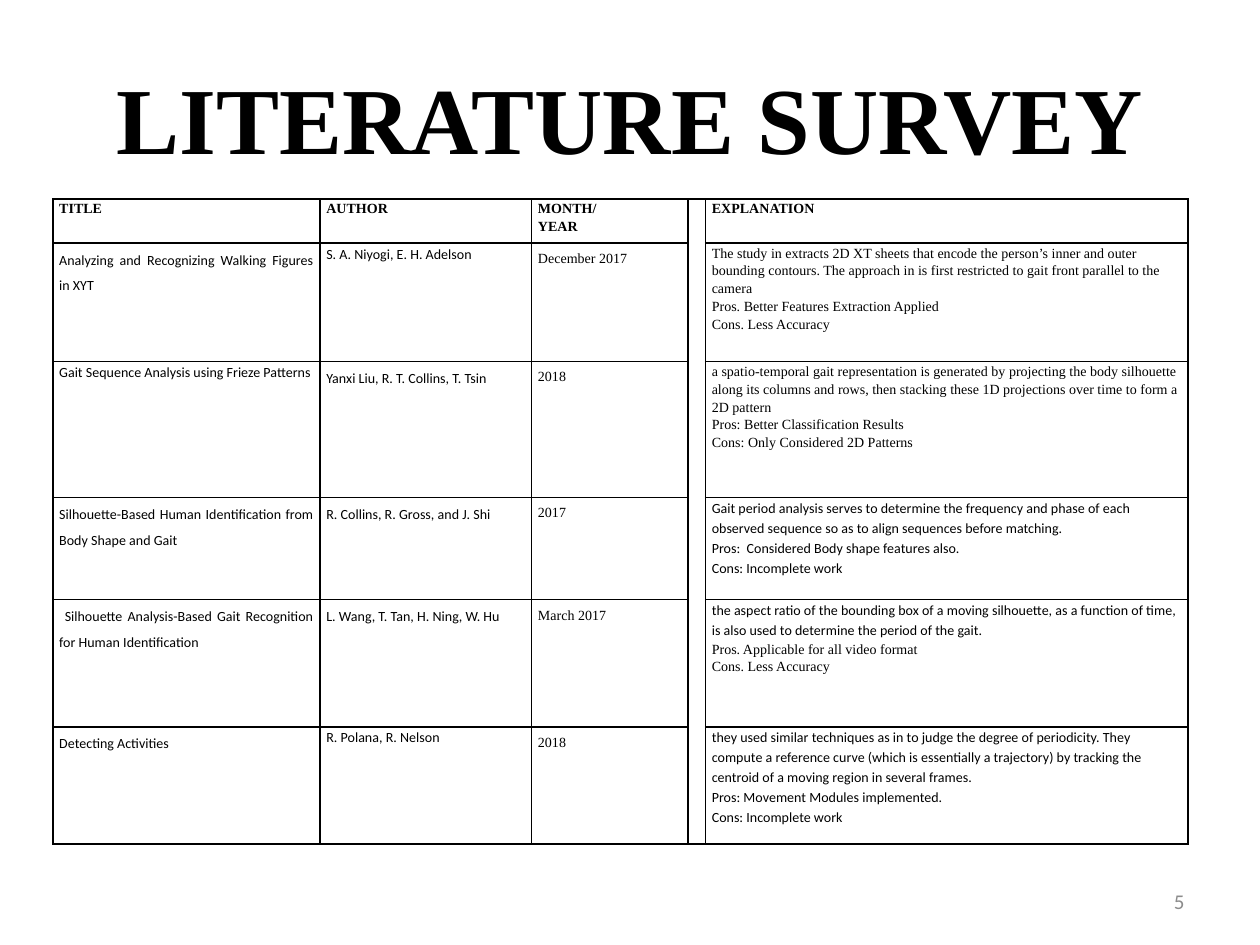
"""Build the literature survey slide."""
from lxml.etree import SubElement
from pptx import Presentation
from pptx.dml.color import RGBColor
from pptx.enum.text import MSO_ANCHOR, PP_ALIGN
from pptx.oxml import parse_xml
from pptx.oxml.ns import nsdecls, qn
from pptx.util import Inches, Pt

SERIF, SANS = "Times New Roman", "Calibri"
BLACK, GREY = "000000", "8C8C8C"
TIGHT = (PP_ALIGN.LEFT, 1.15)
LOOSE = (PP_ALIGN.JUSTIFY, 1.5)

TABLE_AT = (0.42, 1.58)
COL_WIDTHS = [2.12, 1.68, 1.24, 0.14, 3.83]
ROW_HEIGHTS = [0.35, 0.94, 1.08, 0.81, 1.01, 0.93]
GAP_COL = 3

HEADERS = [["TITLE"], ["AUTHOR"], ["MONTH/", "YEAR"], ["EXPLANATION"]]
PAPERS = [
    {
        "title": (LOOSE, [("Analyzing and Recognizing Walking Figures in XYT", SANS)]),
        "author": (TIGHT, "S. A. Niyogi, E. H. Adelson"),
        "date": "December 2017",
        "explanation": [
            ("The study in extracts 2D XT sheets that encode the person’s inner and outer "
             "bounding contours. The approach in is first restricted to gait front parallel "
             "to the camera", SERIF),
            ("Pros. Better Features Extraction Applied", SERIF),
            ("Cons. Less Accuracy", SERIF),
        ],
    },
    {
        "title": (TIGHT, [("Gait Sequence Analysis using Frieze Patterns", SANS)]),
        "author": (LOOSE, "Yanxi Liu, R. T. Collins, T. Tsin"),
        "date": "2018",
        "explanation": [
            ("a spatio-temporal gait representation is generated by projecting the body "
             "silhouette along its columns and rows, then stacking these 1D projections over "
             "time to form a 2D pattern", SERIF),
            ("Pros: Better Classification Results", SERIF),
            ("Cons: Only Considered 2D Patterns", SERIF),
        ],
    },
    {
        "title": (LOOSE, [("Silhouette-Based Human Identification from Body Shape and Gait", SANS)]),
        "author": (LOOSE, "R. Collins, R. Gross, and J. Shi"),
        "date": "2017",
        "explanation": [
            ("Gait period analysis serves to determine the frequency and phase of each "
             "observed sequence so as to align sequences before matching.", SANS),
            ("Pros:  Considered Body shape features also.", SANS),
            ("Cons: Incomplete work", SANS),
        ],
    },
    {
        "title": (LOOSE, [(" ", SERIF),
                          ("Silhouette Analysis-Based Gait Recognition for Human Identification", SANS)]),
        "author": (LOOSE, "L. Wang, T. Tan, H. Ning, W. Hu"),
        "date": "March 2017",
        "explanation": [
            ("the aspect ratio of the bounding box of a moving silhouette, as a function of "
             "time, is also used to determine the period of the gait.", SANS),
            ("Pros. Applicable for all video format", SERIF),
            ("Cons. Less Accuracy", SERIF),
        ],
    },
    {
        "title": (LOOSE, [("Detecting Activities", SANS)]),
        "author": (TIGHT, "R. Polana, R. Nelson"),
        "date": "2018",
        "explanation": [
            ("they used similar techniques as in to judge the degree of periodicity. They "
             "compute a reference curve (which is essentially a trajectory) by tracking the "
             "centroid of a moving region in several frames.", SANS),
            ("Pros: Movement Modules implemented.", SANS),
            ("Cons: Incomplete work", SANS),
        ],
    },
]


def color(value):
    return RGBColor.from_string(value)


def add_run(p, text, font, size, fill=BLACK, bold=False):
    r = p.add_run()
    r.text = text
    r.font.name, r.font.size, r.font.bold = font, Pt(size), bold
    r.font.color.rgb = color(fill)


def add_text(slide, box, text, font, size, fill, align, bold=False):
    tf = slide.shapes.add_textbox(*map(Inches, box)).text_frame
    tf.word_wrap = True
    tf.vertical_anchor = MSO_ANCHOR.MIDDLE
    p = tf.paragraphs[0]
    p.alignment = align
    add_run(p, text, font, size, fill, bold)


def style_cell(cell):
    cell.margin_left = cell.margin_right = Inches(0.05)
    cell.margin_top = cell.margin_bottom = 0
    cell.fill.background()
    tc_pr = cell._tc.get_or_add_tcPr()
    for i, side in enumerate("LRTB"):
        ln = parse_xml(f'<a:ln{side} {nsdecls("a")} w="{Pt(1)}"/>')
        fill = SubElement(ln, qn("a:solidFill"))
        SubElement(fill, qn("a:srgbClr"), val=BLACK)
        tc_pr.insert(i, ln)


def fill_cell(cell, paragraphs, layout, bold=False):
    tf = cell.text_frame
    for i, runs in enumerate(paragraphs):
        p = tf.add_paragraph() if i else tf.paragraphs[0]
        p.alignment, p.line_spacing = layout
        for text, font in runs:
            add_run(p, text, font, 8, bold=bold)


def paper_cells(paper):
    title_layout, title_runs = paper["title"]
    author_layout, author = paper["author"]
    return [
        ([title_runs], title_layout),
        ([[(author, SANS)]], author_layout),
        ([[(paper["date"], SERIF)]], LOOSE),
        ([[line] for line in paper["explanation"]], TIGHT),
    ]


def add_survey_table(slide):
    size = (sum(COL_WIDTHS), sum(ROW_HEIGHTS))
    table = slide.shapes.add_table(
        len(ROW_HEIGHTS), len(COL_WIDTHS), *map(Inches, TABLE_AT + size)).table
    table.first_row = table.horz_banding = False
    for col, width in zip(table.columns, COL_WIDTHS):
        col.width = Inches(width)
    for row, height in zip(table.rows, ROW_HEIGHTS):
        row.height = Inches(height)
    for cell in table.iter_cells():
        style_cell(cell)
    table.cell(0, GAP_COL).merge(table.cell(len(ROW_HEIGHTS) - 1, GAP_COL))

    text_cols = [c for c in range(len(COL_WIDTHS)) if c != GAP_COL]
    for c, lines in zip(text_cols, HEADERS):
        fill_cell(table.cell(0, c), [[(line, SERIF)] for line in lines], TIGHT, bold=True)
    for row, paper in enumerate(PAPERS, 1):
        for c, (paragraphs, layout) in zip(text_cols, paper_cells(paper)):
            fill_cell(table.cell(row, c), paragraphs, layout)


def main():
    prs = Presentation()
    prs.slide_width, prs.slide_height = Inches(10), Inches(7.5)
    slide = prs.slides.add_slide(prs.slide_layouts[6])
    add_text(slide, (0.5, 0.3, 9, 1.25), "LITERATURE SURVEY", SERIF, 54, BLACK,
             PP_ALIGN.CENTER, bold=True)
    add_text(slide, (7.17, 6.95, 2.33, 0.4), "5", SANS, 12, GREY, PP_ALIGN.RIGHT)
    add_survey_table(slide)
    prs.save("out.pptx")


if __name__ == "__main__":
    main()
